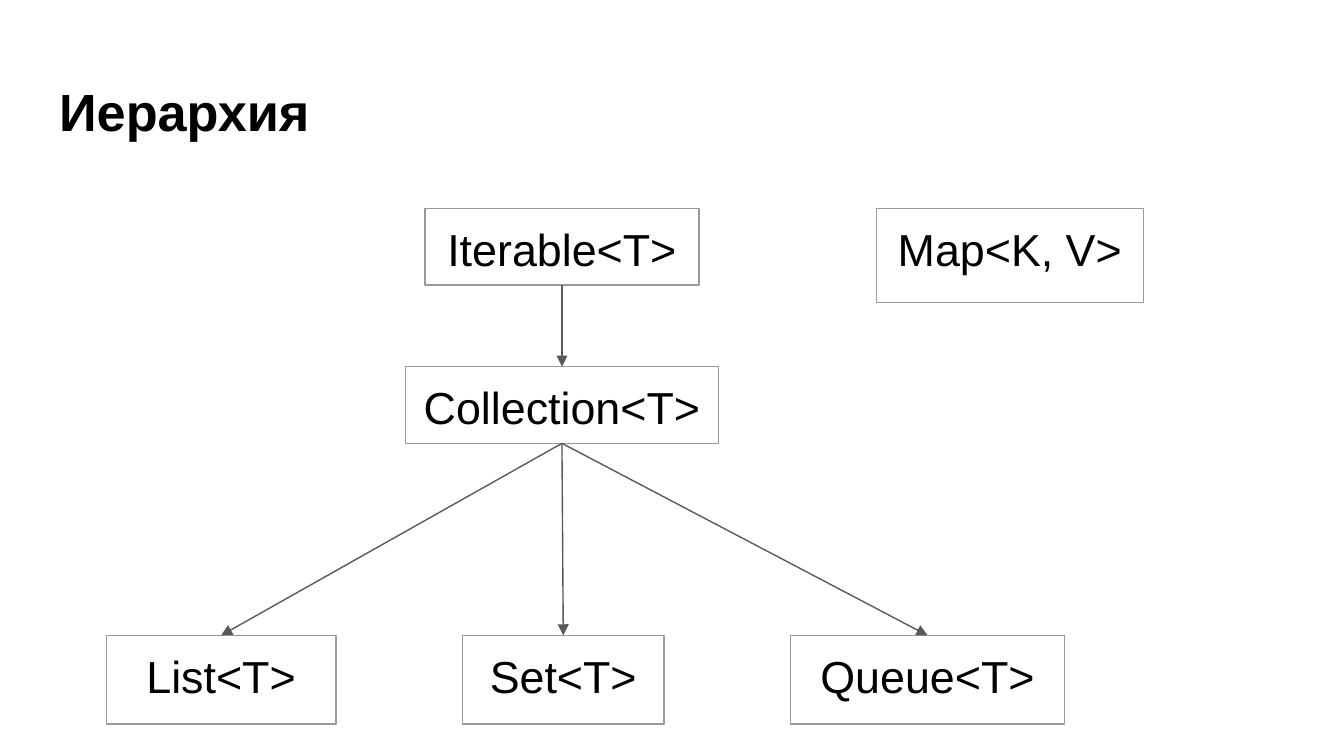
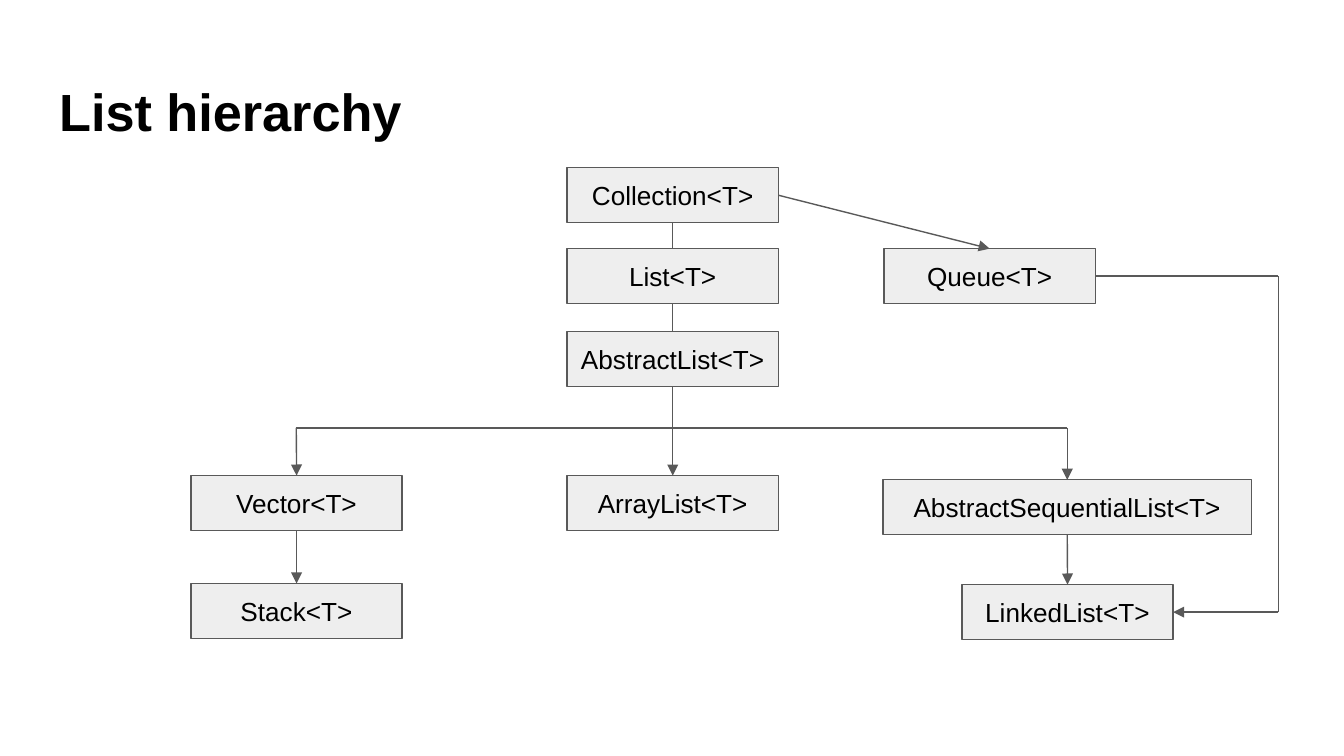
import pptx
import pptx.dml.color
import pptx.enum.shapes
import pptx.enum.text
import pptx.util
import lxml.etree
import pptx.oxml.ns

Cm = pptx.util.Cm
Pt = pptx.util.Pt
color = pptx.dml.color.RGBColor.from_string
qn = pptx.oxml.ns.qn
INK = "000000"
ARROW = "595959"


def add_box(slide, label, place, size, line=None, fill=None, bold=False):
    lengths = [Cm(value) for value in place]
    if line:
        box = slide.shapes.add_shape(pptx.enum.shapes.MSO_SHAPE.RECTANGLE, *lengths)
        box.shadow.inherit = False
        box.line.color.rgb = color(line)
        box.line.width = Pt(0.75)
    else:
        box = slide.shapes.add_textbox(*lengths)
    if fill:
        box.fill.solid()
        box.fill.fore_color.rgb = color(fill)
    else:
        box.fill.background()
    frame = box.text_frame
    frame.word_wrap = True
    frame.margin_left = frame.margin_right = Cm(0.25)
    frame.margin_top = frame.margin_bottom = Cm(0.25)
    anchors = pptx.enum.text.MSO_ANCHOR
    frame.vertical_anchor = anchors.MIDDLE if fill else anchors.TOP
    frame.text = label
    para = frame.paragraphs[0]
    aligns = pptx.enum.text.PP_ALIGN
    para.alignment = aligns.CENTER if line else aligns.LEFT
    span = para.runs[0]
    span.font.name = "Arial"
    span.font.size = Pt(size)
    span.font.bold = bold
    span.font.color.rgb = color(INK)
    return box


def add_link(slide, start, end, arrow=True):
    link = slide.shapes.add_connector(pptx.enum.shapes.MSO_CONNECTOR.STRAIGHT, 0, 0, 0, 0)
    link.begin_x, link.begin_y, link.end_x, link.end_y = [
        Cm(value) if isinstance(value, float) else 0 for value in (*start, *end)
    ]
    if not isinstance(start[0], float):
        link.begin_connect(*start)
    if not isinstance(end[0], float):
        link.end_connect(*end)
    link.line.color.rgb = color(ARROW)
    link.line.width = Pt(0.75)
    if arrow:
        outline = link.line._get_or_add_ln()
        lxml.etree.SubElement(outline, qn("a:tailEnd"), type="triangle")
    lxml.etree.SubElement(link._element.spPr, qn("a:effectLst"))


deck = pptx.Presentation()
deck.slide_width = Cm(25.4)
deck.slide_height = Cm(14.29)

pages = []
for title in ("Иерархия", "List hierarchy"):
    page = deck.slides.add_slide(deck.slide_layouts[6])
    add_box(page, title, (0.87, 1.24, 23.67, 1.6), 28, bold=True)
    pages.append(page)
overview, details = pages

interfaces = {}
for label, left, top, width, height in (
    ("Iterable<T>", 8.03, 3.94, 5.18, 1.45),
    ("Collection<T>", 7.66, 6.93, 5.92, 1.45),
    ("List<T>", 2.01, 12.01, 4.34, 1.68),
    ("Set<T>", 8.74, 12.01, 3.81, 1.68),
    ("Queue<T>", 14.94, 12.01, 5.18, 1.68),
    ("Map<K, V>", 16.56, 3.94, 5.05, 1.78),
):
    place = (left, top, width, height)
    interfaces[label] = add_box(overview, label, place, 24, "999999")

for parent, child in (
    ("Iterable<T>", "Collection<T>"),
    ("Collection<T>", "List<T>"),
    ("Collection<T>", "Set<T>"),
    ("Collection<T>", "Queue<T>"),
):
    add_link(overview, (interfaces[parent], 2), (interfaces[child], 0))

classes = {}
for label, left, top, width in (
    ("Collection<T>", 10.72, 3.17, 3.99),
    ("List<T>", 10.72, 4.7, 3.99),
    ("AbstractList<T>", 10.72, 6.27, 3.99),
    ("ArrayList<T>", 10.72, 8.99, 3.99),
    ("AbstractSequentialList<T>", 16.69, 9.07, 6.96),
    ("Vector<T>", 3.61, 8.99, 3.99),
    ("Stack<T>", 3.61, 11.03, 3.99),
    ("LinkedList<T>", 18.18, 11.05, 3.99),
    ("Queue<T>", 16.71, 4.7, 3.99),
):
    place = (left, top, width, 1.04)
    classes[label] = add_box(details, label, place, 14, ARROW, "EEEEEE")

for parent, child, arrow in (
    ("Collection<T>", "List<T>", False),
    ("List<T>", "AbstractList<T>", False),
    ("AbstractList<T>", "ArrayList<T>", True),
    ("Vector<T>", "Stack<T>", True),
    ("AbstractSequentialList<T>", "LinkedList<T>", True),
):
    add_link(details, (classes[parent], 2), (classes[child], 0), arrow)
add_link(details, (classes["Collection<T>"], 3), (classes["Queue<T>"], 0))

branch_left = (5.6, 8.09)
branch_right = (20.17, 8.09)
add_link(details, branch_left, branch_right, False)
add_link(details, branch_left, (classes["Vector<T>"], 0))
add_link(details, branch_right, (classes["AbstractSequentialList<T>"], 0))

detour_top = (24.16, 5.22)
detour_bottom = (24.16, 11.57)
add_link(details, (classes["Queue<T>"], 3), detour_top, False)
add_link(details, detour_top, detour_bottom, False)
add_link(details, detour_bottom, (classes["LinkedList<T>"], 3))

deck.save("out.pptx")
